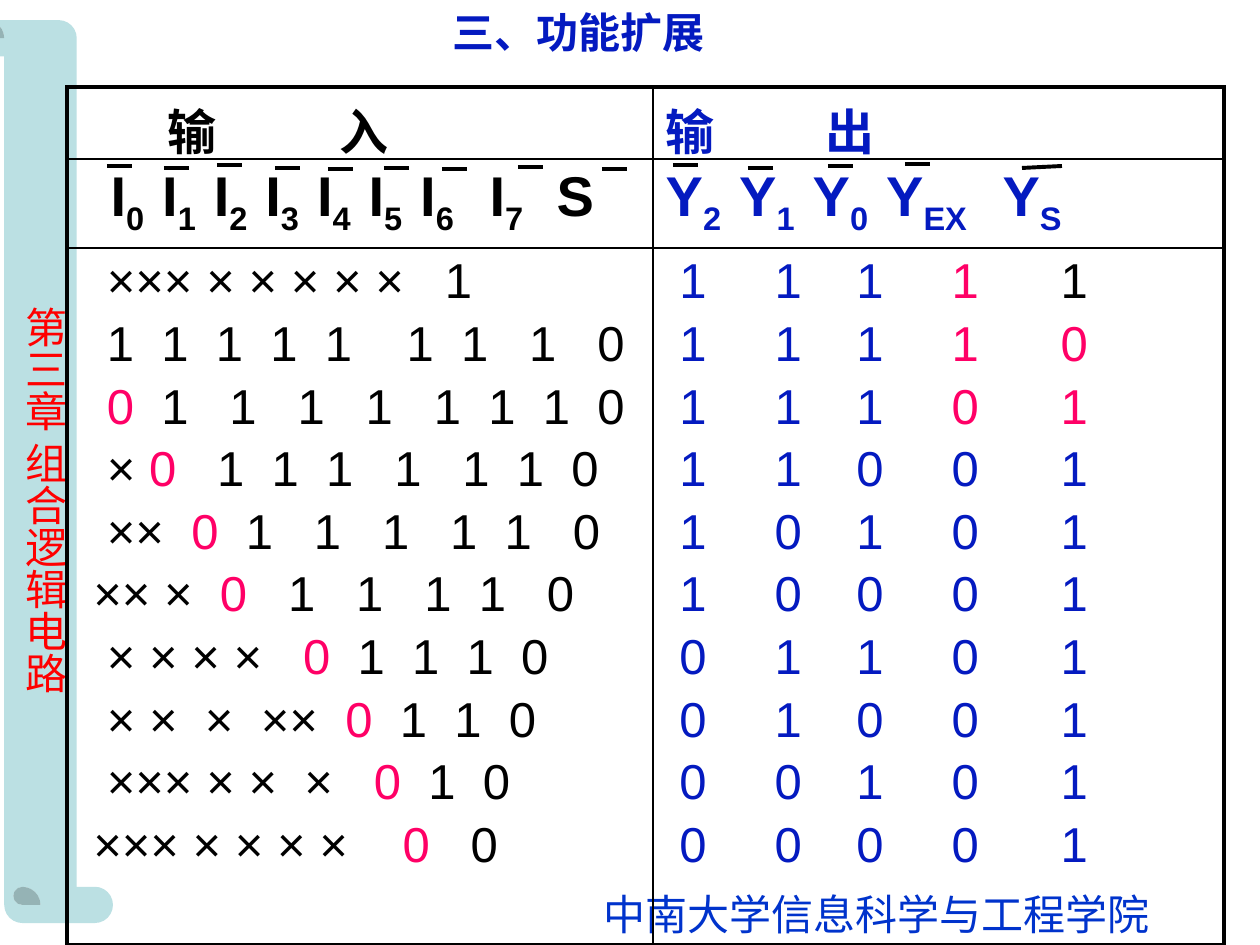
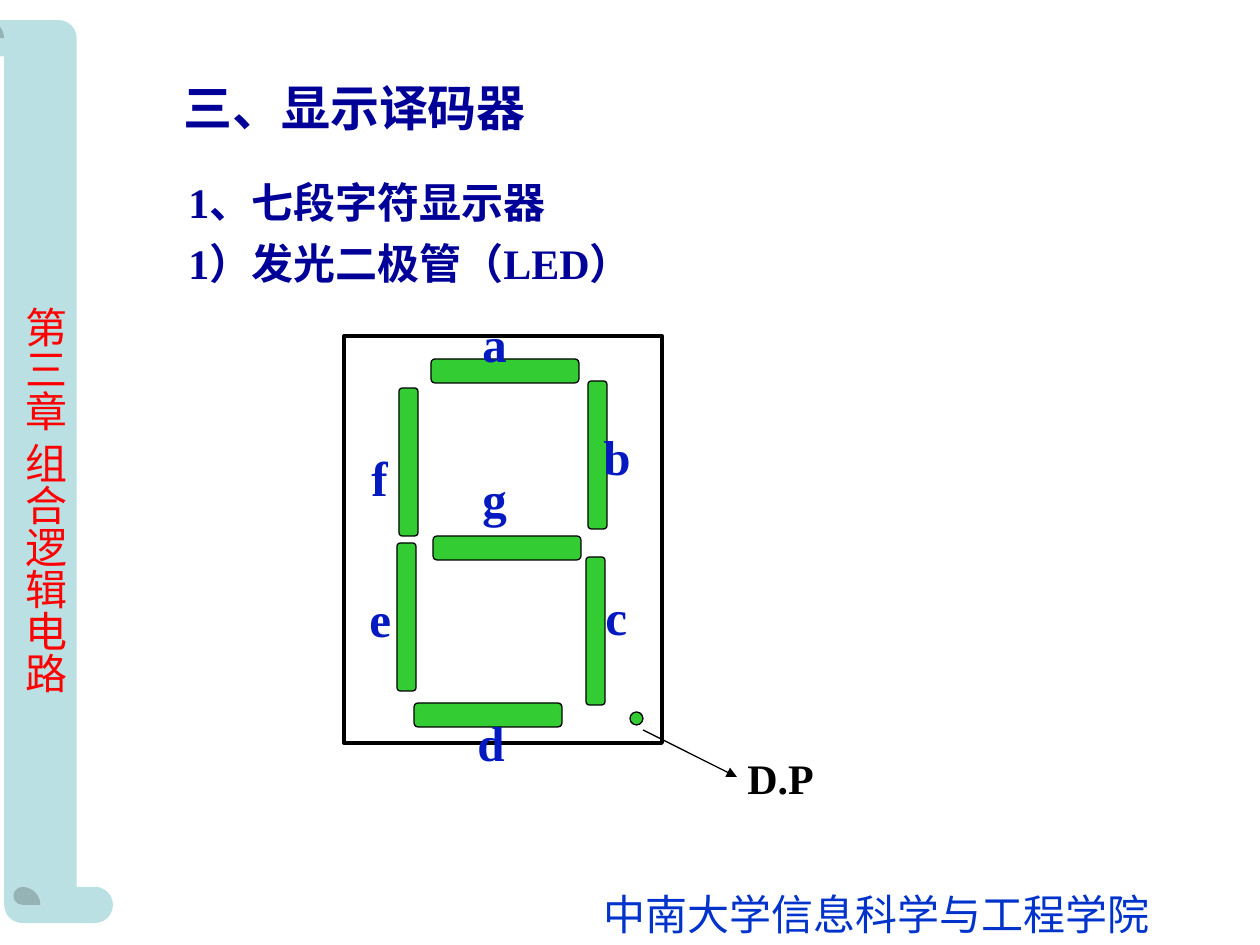
import pptx
import pptx.util
import pptx.dml.color
import pptx.enum.shapes
import pptx.oxml
import pptx.oxml.ns

SCALE = 914400 / 126
SHAPE = pptx.enum.shapes.MSO_SHAPE
CJK = "Noto Sans CJK SC"
ARIAL = "Arial"
TIMES = "Times New Roman"

BLACK = "000000"
WHITE = "FFFFFF"
BLUE = "041AC0"
NAVY = "000099"
PINK = "FF0066"
GREEN = "33CC33"
SCROLL = "BBE0E3"
RED = "FF0000"
FOOTER = "0033CC"


def px(n):
    return pptx.util.Emu(round(n * SCALE))


def rgb(value):
    return pptx.dml.color.RGBColor.from_string(value)


def sub(parent, tag, **attrs):
    """Append a DrawingML child element with the given attributes."""
    child = parent.makeelement(pptx.oxml.ns.qn(tag), {k: str(v) for k, v in attrs.items()})
    parent.append(child)
    return child


class Deck:
    """Holds the shared style and the slide being drawn."""

    def __init__(self):
        self.prs = pptx.Presentation()
        self.prs.slide_width, self.prs.slide_height = px(1260), px(945)

    def new_slide(self):
        self.s = self.prs.slides.add_slide(self.prs.slide_layouts[6])
        sp = self.shape(SHAPE.HORIZONTAL_SCROLL, -411, 399, 903, 145, SCROLL, adj=0.25)
        sp.rotation = 270
        chapter = self.text(0, 294, 76, 412, ["第三章 组合逻辑电路"], color=RED, name=CJK, wrap=False)
        chapter.text_frame._txBody.bodyPr.set("vert", "eaVert")
        self.text(591, 882, 571, 63, ["中南大学信息科学与工程学院"], color=FOOTER, wrap=False)

    def run(self, p, text, color=BLACK, name=TIMES, size=24, bold=False, base=0):
        r = p.add_run()
        r.text = text
        for key, value in {"name": name, "size": pptx.util.Pt(size), "bold": bold}.items():
            setattr(r.font, key, value)
        r.font.color.rgb = rgb(color)
        rpr = r._r.get_or_add_rPr()
        rpr.find(pptx.oxml.ns.qn("a:latin")).addnext(sub(rpr, "a:ea", typeface=CJK))
        if base:
            rpr.set("baseline", str(base * 1000))

    def text(self, x, y, w, h, lines, wrap=True, gap=6, **fmt):
        sp = self.s.shapes.add_textbox(px(x), px(y), px(w), px(h))
        tf = sp.text_frame
        tf.word_wrap = wrap
        for i, line in enumerate(lines):
            p = tf.paragraphs[0] if i == 0 else tf.add_paragraph()
            if i:
                p.space_before = pptx.util.Pt(gap)
            self.run(p, line, **fmt)
        return sp

    def shape(self, kind, x, y, w, h, fill, line=None, adj=None):
        sp = self.s.shapes.add_shape(kind, px(x), px(y), px(w), px(h))
        sp.shadow.inherit = False
        sp.fill.solid()
        sp.fill.fore_color.rgb = rgb(fill)
        if line:
            sp.line.color.rgb = rgb(BLACK)
            sp.line.width = pptx.util.Pt(line)
        else:
            sp.line.fill.background()
        if adj is not None:
            sp.adjustments[0] = adj
        return sp

    def line(self, x1, y1, x2, y2, width, arrow=False):
        c = self.s.shapes.add_connector(1, px(x1), px(y1), px(x2), px(y2))
        c.line.color.rgb = rgb(BLACK)
        c.line.width = pptx.util.Pt(width)
        if arrow:
            sub(c.line._get_or_add_ln(), "a:tailEnd", type="triangle")
        sub(c._element.spPr, "a:effectLst")

    def table(self, x, y, widths, heights):
        """Add an unfilled grid with a thick frame and thin inner lines."""
        frame = self.s.shapes.add_table(len(heights), len(widths), px(x), px(y),
                                        px(sum(widths)), px(sum(heights)))
        tbl = frame.table
        tbl.first_row = tbl.horz_banding = False
        for col, w in zip(tbl.columns, widths):
            col.width = px(w)
        for row, h in zip(tbl.rows, heights):
            row.height = px(h)
        last_row, last_col = len(heights) - 1, len(widths) - 1
        for i, row in enumerate(tbl.rows):
            for j, cell in enumerate(row.cells):
                pr = cell._tc.get_or_add_tcPr()
                outer = {"L": j == 0, "R": j == last_col, "T": i == 0, "B": i == last_row}
                for side, thick in outer.items():
                    ln = sub(pr, f"a:ln{side}", w=pptx.util.Pt(2.25 if thick else 1))
                    sub(sub(ln, "a:solidFill"), "a:srgbClr", val=BLACK)
                cell.fill.background()
        return tbl

    def tabbed(self, p, parts, **fmt):
        """Write (offset, text, format) parts; an offset of None follows on directly."""
        stops = sub(p._p.get_or_add_pPr(), "a:tabLst")
        for offset, text, extra in parts:
            if offset:
                sub(stops, "a:tab", pos=px(offset), algn="l")
                text = "\t" + text
            self.run(p, text, **{**fmt, **extra})


SPACE, DIGIT, CROSS = 13.62, 27.25, 28.62  # advance widths at 28 pt, in px


def spaced(symbols, gaps, colors):
    """Place each symbol after its gap, counted in space widths."""
    parts, x = [], 0
    for symbol, gap, color in zip(symbols, gaps, colors):
        x += int(gap) * SPACE
        parts.append((x if gap != "0" else None, symbol, {"color": color}))
        x += CROSS if symbol == "×" else DIGIT
    return parts


def truth_rows():
    """Yield the input and output parts of each row of the encoder table."""
    input_gaps = ["200111113", "222224233", "223333222", "213223322", "202233323",
                  "101233323", "211132222", "212202222", "200112322", "100111143"]
    inputs = ["×" * 8 + "1", "1" * 8 + "0"]
    inputs += ["×" * k + "0" + "1" * (7 - k) + "0" for k in range(8)]
    outputs = ["11111", "11110"] + [f"{7 - k:03b}01" for k in range(8)]
    flag_colors = [[PINK, BLACK], [PINK, PINK], [PINK, PINK]] + [[BLUE, BLUE]] * 7
    for i, gaps in enumerate(input_gaps):
        colors = [PINK if j == i - 2 else BLACK for j in range(9)]
        yield (spaced(inputs[i], gaps, colors),
               spaced(outputs[i], "15456", [BLUE] * 3 + flag_colors[i]))


def encoder_slide(d):
    d.new_slide()
    d.text(440, 0, 349, 63, ["三、功能扩展"], color=BLUE, bold=True)
    bars = [(107, 166), (164, 168), (217, 165), (275, 168), (328, 169), (384, 168), (442, 169),
            (518, 167), (602, 169), (673, 165), (748, 168), (828, 166), (905, 164)]
    for x, y in bars:
        d.line(x, y, x + 25, y, 2.25)
    d.line(1022, 168, 1062, 166, 2.25)

    tbl = d.table(67, 87, [586, 571], [72, 89, 697])
    heads = [[(88, "输", {}), (260, "入", {})], [(None, "输", {}), (160, "出", {})]]
    names = [[(31 + 51.6 * k, "I", str(k)) for k in range(7)] + [(410, "I", "7"), (477, "S", "")],
             [(0, "Y", "2"), (73.5, "Y", "1"), (147, "Y", "0"), (220.5, "Y", "EX"), (337, "Y", "S")]]
    for j, color in enumerate([BLACK, BLUE]):
        fmt = {"name": ARIAL, "bold": True, "color": color}
        head = tbl.cell(0, j)
        head.margin_bottom = 0
        d.tabbed(head.text_frame.paragraphs[0], heads[j], size=28, **fmt)
        parts = []
        for x, letter, index in names[j]:
            parts.append((x, letter, {}))
            if index:
                parts.append((None, index, {"base": -25}))
        d.tabbed(tbl.cell(1, j).text_frame.paragraphs[0], parts, size=32, **fmt)

    for i, row in enumerate(truth_rows()):
        for j, parts in enumerate(row):
            tf = tbl.cell(2, j).text_frame
            p = tf.add_paragraph() if i else tf.paragraphs[0]
            if i:
                p.space_before = pptx.util.Pt(4.6)
            d.tabbed(p, parts, name=ARIAL, size=28)


def display_slide(d):
    d.new_slide()
    d.text(171, 71, 690, 72, ["三、显示译码器"], size=28, color=NAVY, bold=True)
    d.text(176, 170, 751, 139, ["1、七段字符显示器", "1）发光二极管（LED）"], color=NAVY, bold=True)
    d.shape(SHAPE.RECTANGLE, 344, 336, 318, 407, WHITE, 2.25)
    flat, upright = (148, 24), (19, 148)
    segments = {"a": (431, 359, flat, 470, 307), "b": (588, 381, upright, 591, 420),
                "c": (586, 557, upright, 593, 580), "d": (414, 703, flat, 465, 706),
                "e": (397, 543, upright, 357, 582), "f": (399, 388, upright, 359, 441),
                "g": (433, 536, flat, 470, 462)}
    for x, y, size, _, _ in segments.values():
        d.shape(SHAPE.ROUNDED_RECTANGLE, x, y, *size, GREEN, 0.75, adj=0.17)
    d.shape(SHAPE.OVAL, 630, 712, 13, 13, GREEN, 0.75)
    for letter, (_, _, _, x, y) in segments.items():
        d.text(x, y, 71, 72, [letter], size=28, color=BLUE, bold=True)
    d.line(643, 730, 737, 777, 0.75, arrow=True)
    d.text(735, 746, 111, 63, ["D.P"], bold=True)


def main():
    d = Deck()
    encoder_slide(d)
    display_slide(d)
    d.prs.save("out.pptx")


if __name__ == "__main__":
    main()
